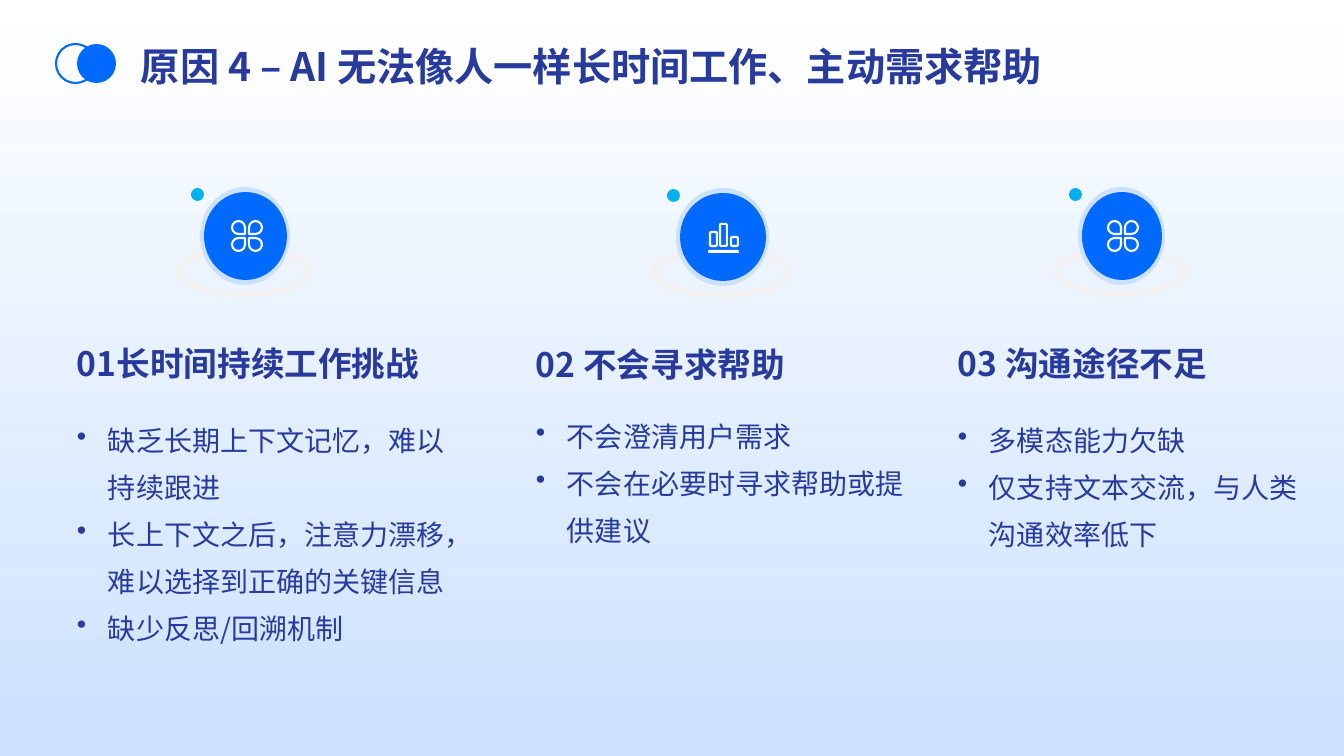
from pptx import Presentation
from pptx import util as u
from pptx.dml.color import RGBColor
from pptx.enum import shapes, text
from pptx.oxml.xmlchemy import OxmlElement

EMU_PER_PX = 914400 / 100.8
FONT = "Noto Sans CJK SC"
COLORS = {
    "ink": "283B9D",
    "blue": "006AFF",
    "pale": "CCE1FF",
    "ring": "F2F2F2",
    "dot": "00B0F0",
    "white": "FFFFFF",
}
TITLE = "原因 4 – AI 无法像人一样长时间工作、主动需求帮助"
OVAL = shapes.MSO_SHAPE.OVAL
ROUNDED = shapes.MSO_SHAPE.ROUNDED_RECTANGLE


def px(length):
    """Turn pixels into EMU."""
    return u.Emu(round(length * EMU_PER_PX))


def color(name):
    """Look up a named colour."""
    return RGBColor.from_string(COLORS[name])


def add_figure(slide, kind, box, fill=None, line=None, weight=1.5):
    """Add a preset shape with an optional fill and outline."""
    shape = slide.shapes.add_shape(kind, *map(px, box))
    shape.shadow.inherit = False
    if fill:
        shape.fill.solid()
        shape.fill.fore_color.rgb = color(fill)
    else:
        shape.fill.background()
    if line:
        shape.line.color.rgb = color(line)
        shape.line.width = u.Pt(weight)
    else:
        shape.line.fill.background()
    return shape


def set_frame(frame, anchor):
    """Give a text frame wrapping, no margins and an anchor."""
    frame.word_wrap = True
    frame.auto_size = text.MSO_AUTO_SIZE.NONE
    frame.vertical_anchor = anchor
    frame.margin_left = frame.margin_top = 0
    frame.margin_right = frame.margin_bottom = 0


def add_run(paragraph, words, size, spacing, bold=False):
    """Add one styled run to a left-aligned paragraph."""
    paragraph.alignment = text.PP_ALIGN.LEFT
    paragraph.line_spacing = spacing
    run = paragraph.add_run()
    run.text = words
    run.font.size = u.Pt(size)
    run.font.bold = bold
    run.font.name = FONT
    run.font.color.rgb = color("ink")
    east_asian = OxmlElement("a:ea")
    east_asian.set("typeface", FONT)
    run.font._element.append(east_asian)


def add_bullet(paragraph, indent):
    """Give a paragraph a round bullet with a hanging indent."""
    properties = paragraph._p.get_or_add_pPr()
    properties.set("marL", str(px(indent)))
    properties.set("indent", str(-px(indent)))
    bullet = OxmlElement("a:buChar")
    bullet.set("char", "•")
    properties.append(bullet)


def draw_background(slide):
    """Fill the slide with a vertical gradient."""
    fill = slide.background.fill
    fill.gradient()
    fill.gradient_angle = 270
    for stop, name, position in zip(fill.gradient_stops, ("white", "pale"), (0, 1)):
        stop.color.rgb = color(name)
        stop.position = position


def draw_title(slide, left, top):
    """Place the title and its two overlapping circles."""
    title = slide.shapes.title
    title.left, title.top = px(left + 85), px(top - 6)
    title.width, title.height = px(1101), px(47)
    set_frame(title.text_frame, text.MSO_ANCHOR.MIDDLE)
    add_run(title.text_frame.paragraphs[0], TITLE, 28, 1.2, True)
    add_figure(slide, OVAL, (left, top, 39, 39), line="blue")
    add_figure(slide, OVAL, (left + 21, top, 39, 39), fill="blue")


def draw_clover(slide, left, top):
    """Draw four petals pointing at their common centre."""
    for column, row, turn in ((0, 0, 90), (1, 0, 180), (0, 1, 0), (1, 1, 270)):
        box = (left + 1 + 17 * column, top + 1 + 17 * row, 13, 13)
        petal = add_figure(slide, shapes.MSO_SHAPE.TEAR, box, line="white")
        petal.rotation = turn


def draw_bars(slide, left, top):
    """Draw three outlined bars on a base line."""
    for index, height in enumerate((14, 22, 9)):
        box = (left + 2 + 10 * index + index // 2, top + 25 - height, 7, height)
        add_figure(slide, ROUNDED, box, line="white")
    base = add_figure(slide, ROUNDED, (left, top + 29, 31, 3), fill="white")
    base.adjustments[0] = 0.5


def draw_badge(slide, left, top, width, draw_icon):
    """Draw a ringed disc with its icon and satellite dot."""
    add_figure(slide, OVAL, (left, top + 62, width, 45), line="ring", weight=4.5)
    add_figure(slide, OVAL, (left + 21, top, width - 40, 98), fill="pale")
    add_figure(slide, OVAL, (left + 25, top + 5, width - 47, 88), fill="blue")
    draw_icon(slide, left + width // 2 - 13, top + 33)
    add_figure(slide, OVAL, (left + 12, top + 1, 13, 13), fill="dot")


def draw_column(slide, left, top, width, body_offset, heading, bullets):
    """Place a heading above its bulleted list."""
    box = slide.shapes.add_textbox(px(left), px(top + 147), px(width), px(54))
    set_frame(box.text_frame, text.MSO_ANCHOR.MIDDLE)
    add_run(box.text_frame.paragraphs[0], heading, 24, 1.1, True)
    body = slide.shapes.add_textbox(px(left), px(top + body_offset), px(width), px(290))
    frame = body.text_frame
    set_frame(frame, text.MSO_ANCHOR.TOP)
    for index, words in enumerate(bullets):
        paragraph = frame.add_paragraph() if index else frame.paragraphs[0]
        add_bullet(paragraph, 31)
        add_run(paragraph, words, 20, 1.4)


def main():
    """Build and save the slide."""
    presentation = Presentation()
    presentation.slide_width, presentation.slide_height = px(1344), px(756)
    slide = presentation.slides.add_slide(presentation.slide_layouts[5])
    draw_background(slide)
    draw_title(slide, 56, 44)
    columns = (
        ((77, 187, 376, 223), (179, 130, draw_clover), "01长时间持续工作挑战",
         ("缺乏长期上下文记忆，难以持续跟进",
          "长上下文之后，注意力漂移，难以选择到正确的关键信息",
          "缺少反思/回溯机制")),
        ((536, 188, 386, 218), (655, 133, draw_bars), "02 不会寻求帮助",
         ("不会澄清用户需求", "不会在必要时寻求帮助或提供建议")),
        ((958, 187, 365, 223), (1057, 127, draw_clover), "03 沟通途径不足",
         ("多模态能力欠缺", "仅支持文本交流，与人类沟通效率低下")),
    )
    for box, (badge_left, badge_width, draw_icon), heading, bullets in columns:
        draw_badge(slide, badge_left, box[1], badge_width, draw_icon)
        draw_column(slide, *box, heading, bullets)
    presentation.save("out.pptx")


if __name__ == "__main__":
    main()
